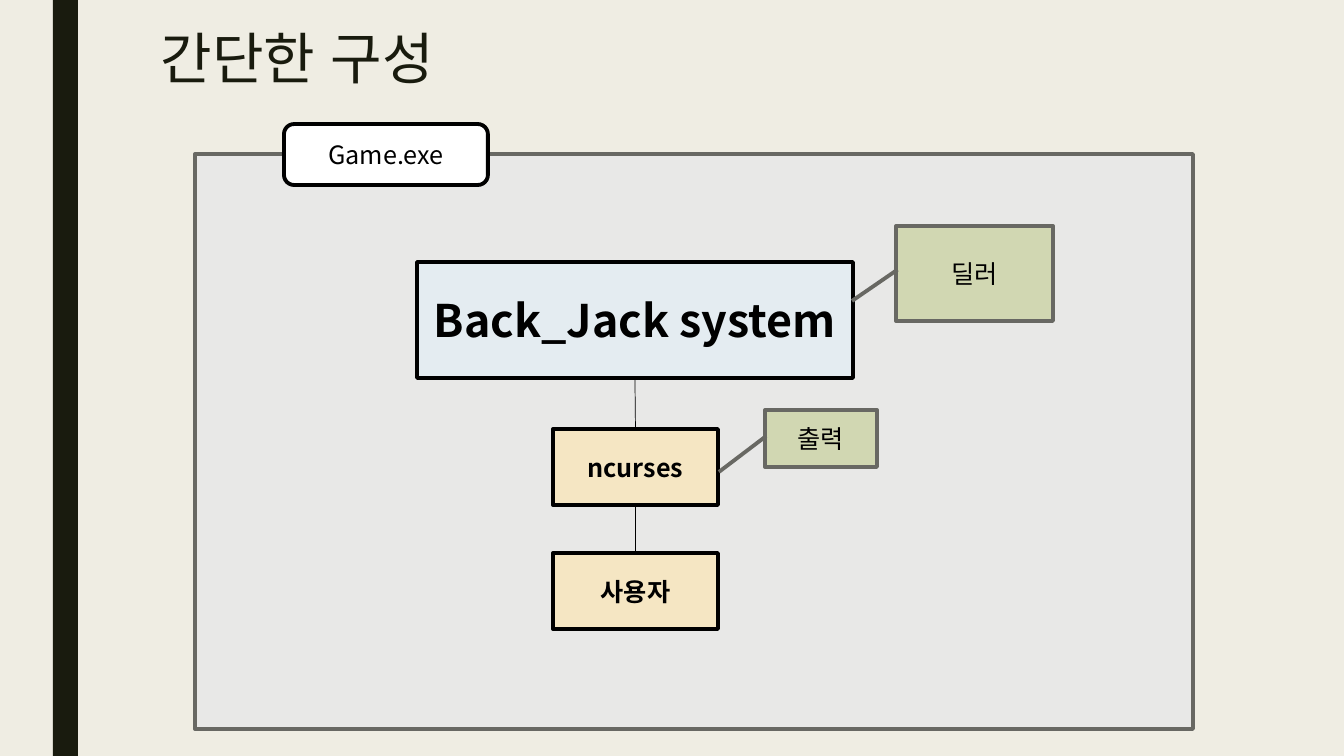
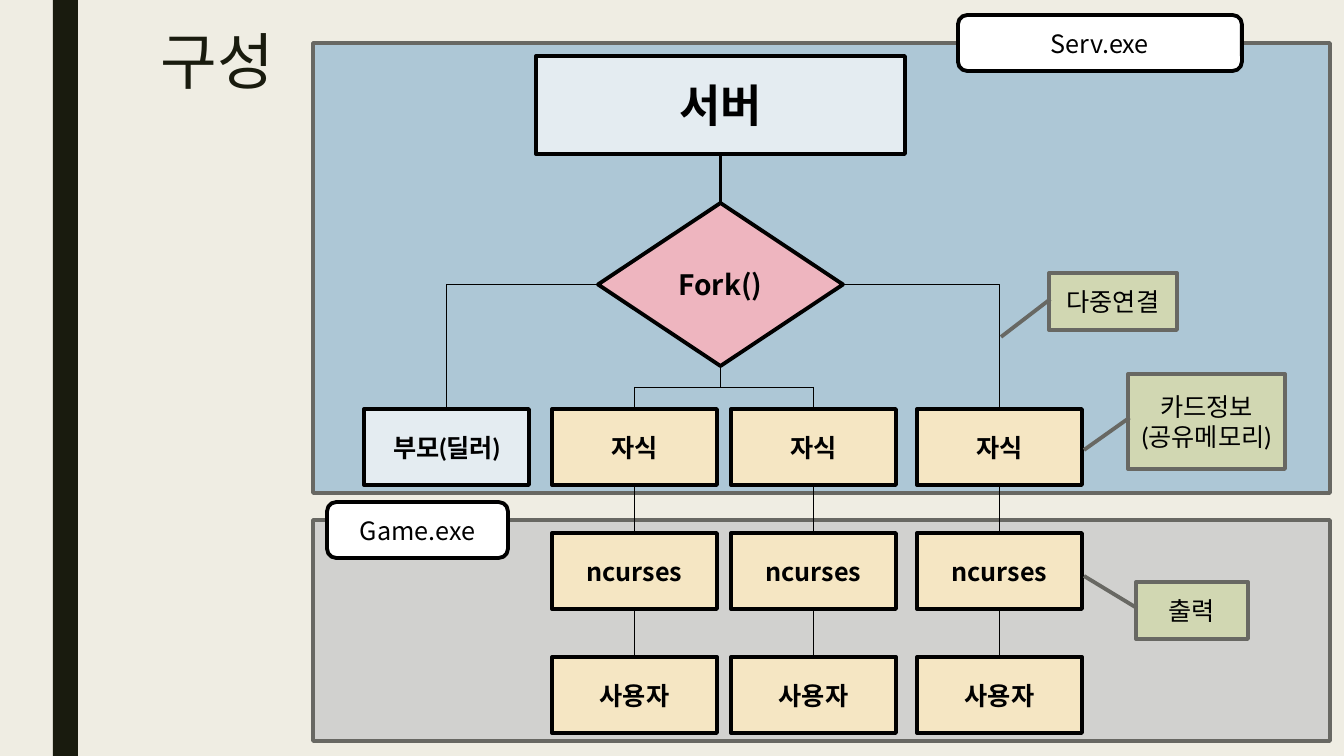
from collections import namedtuple

from lxml.etree import SubElement
from pptx import Presentation
from pptx.dml.color import RGBColor
from pptx.enum.lang import MSO_LANGUAGE_ID
from pptx.enum.shapes import MSO_CONNECTOR, MSO_SHAPE
from pptx.enum.text import MSO_ANCHOR, PP_ALIGN
from pptx.oxml.ns import qn
from pptx.util import Emu, Pt

EMU_PER_PX = 914400 / 100.8
SLIDE_WIDTH, SLIDE_HEIGHT = 1344, 756
NODE_WIDTH, NODE_HEIGHT, NODE_PITCH = 165, 76, 124
THICK, THIN = 2.75, 0.5
TOP, LEFT, BOTTOM, RIGHT = range(4)
SANS, LATO, ARIAL = "Noto Sans CJK KR", "Lato", "Arial"

COLOURS = {
    "background": "EFEDE3",
    "bar": "191B0E",
    "black": "000000",
    "white": "FFFFFF",
    "grey": "686863",
    "simple_panel": "E8E8E7",
    "game_panel": "D1D1CF",
    "server_panel": "ADC7D6",
    "system": "E4ECF1",
    "node": "F5E6C3",
    "fork": "EEB5BF",
    "callout": "D1D7B2",
}

Box = namedtuple("Box", "left top width height")


def px(length):
    return Emu(round(length * EMU_PER_PX))


def colour(name):
    return RGBColor.from_string(COLOURS[name])


def within(box, left, top, width, height):
    """Turn a place inside a region into a place on the slide."""
    return Box(box.left + left, box.top + top, width, height)


# Shared drawing tools
def format_text(text_frame, font_name, size, bold=False, text_colour="black"):
    for paragraph in text_frame.paragraphs:
        for run in paragraph.runs:
            font = run.font
            font.name, font.size, font.bold = font_name, Pt(size), bold
            font.language_id = MSO_LANGUAGE_ID.KOREAN
            font.color.rgb = colour(text_colour)
            latin = run._r.rPr.find(qn("a:latin"))
            east_asian = SubElement(run._r.rPr, qn("a:ea"))
            east_asian.set("typeface", font_name)
            latin.addnext(east_asian)


def add_box(slide, box, fill, line="black", preset=MSO_SHAPE.RECTANGLE,
            text="", font_name=SANS, size=18, bold=False):
    shape = slide.shapes.add_shape(preset, *map(px, box))
    shape.shadow.inherit = False
    shape.fill.solid()
    shape.fill.fore_color.rgb = colour(fill)
    if line:
        shape.line.color.rgb = colour(line)
        shape.line.width = Pt(THICK)
    else:
        shape.line.fill.background()
    if text:
        text_frame = shape.text_frame
        text_frame.text = text
        text_frame.word_wrap = True
        text_frame.vertical_anchor = MSO_ANCHOR.MIDDLE
        for paragraph in text_frame.paragraphs:
            paragraph.alignment = PP_ALIGN.CENTER
        format_text(text_frame, font_name, size, bold)
    return shape


def add_node(slide, box, left, top, text, font_name=LATO, fill="node"):
    place = within(box, left, top, NODE_WIDTH, NODE_HEIGHT)
    return add_box(slide, place, fill, text=text, font_name=font_name, bold=True)


def add_tab(slide, box, text):
    add_box(slide, box, "white", preset=MSO_SHAPE.ROUNDED_RECTANGLE, text=text)


def add_callout(slide, box, text, reach_left, reach_down):
    """Callout whose tip is measured from its top left corner."""
    shape = add_box(slide, box, "callout", "grey", MSO_SHAPE.LINE_CALLOUT_1,
                    text, LATO)
    adjustments = (0.46, 0.01, reach_down / box.height, -reach_left / box.width)
    for index, value in enumerate(adjustments):
        shape.adjustments[index] = value


def add_line(slide, start=(0, 0), end=(0, 0), weight=THIN,
             kind=MSO_CONNECTOR.STRAIGHT):
    connector = slide.shapes.add_connector(kind, *map(px, (*start, *end)))
    connector.line.color.rgb = colour("black")
    connector.line.width = Pt(weight)
    SubElement(connector._element.spPr, qn("a:effectLst"))
    return connector


def link(slide, source, target, side=BOTTOM, weight=THIN):
    """Join a side of one shape to the top of another, with a corner if sideways."""
    straight = side == BOTTOM
    kind = MSO_CONNECTOR.STRAIGHT if straight else MSO_CONNECTOR.ELBOW
    connector = add_line(slide, weight=weight, kind=kind)
    connector.begin_connect(source, side)
    connector.end_connect(target, TOP)
    if not straight:
        geometry = connector._element.spPr.find(qn("a:prstGeom"))
        geometry.set("prst", "bentConnector2")


def add_player(slide, box, left, top, parent):
    """Column of screen library and user below a parent shape."""
    library = add_node(slide, box, left, top, "ncurses", SANS)
    user = add_node(slide, box, left, top + NODE_PITCH, "사용자", ARIAL)
    link(slide, parent, library)
    link(slide, library, user)


def add_slide(presentation):
    slide = presentation.slides.add_slide(presentation.slide_layouts[6])
    slide.background.fill.solid()
    slide.background.fill.fore_color.rgb = colour("background")
    add_box(slide, Box(53, 0, 25, SLIDE_HEIGHT), "bar", None)
    return slide


def add_title(slide, text, size):
    title = slide.shapes.add_textbox(*map(px, Box(151, 27, 1058, 163)))
    title.text_frame.text = text
    title.text_frame.word_wrap = True
    title.text_frame.paragraphs[0].line_spacing = 0.89
    format_text(title.text_frame, SANS, size, text_colour="bar")


# Regions
def draw_simple_game(slide, box):
    add_box(slide, box, "simple_panel", "grey")
    system = add_box(slide, within(box, 222, 108, 436, 116), "system",
                     text="Back_Jack system", size=32, bold=True)
    add_player(slide, box, 358, 275, system)
    add_callout(slide, within(box, 570, 256, 112, 57), "출력", 46, 62)
    add_callout(slide, within(box, 701, 72, 157, 95), "딜러", 44, 75)
    add_tab(slide, within(box, 89, -30, 204, 61), "Game.exe")


def draw_server(slide, box, child_lefts):
    """Draw the server process tree and return the child processes."""
    add_box(slide, box, "server_panel", "grey")
    server = add_box(slide, within(box, 223, 13, 369, 98), "system",
                     text="서버", size=32, bold=True)
    fork = add_box(slide, within(box, 285, 160, 245, 163), "fork",
                   preset=MSO_SHAPE.FLOWCHART_DECISION, text="Fork()",
                   size=20, bold=True)
    node_top = 366
    parent = add_node(slide, box, 51, node_top, "부모(딜러)", fill="system")
    children = [add_node(slide, box, left, node_top, "자식")
                for left in child_lefts]
    link(slide, server, fork, weight=THICK)
    link(slide, fork, parent, LEFT)
    link(slide, fork, children[-1], RIGHT)

    # Branch from the fork to the two middle children
    bus_y = box.top + 344
    centres = [box.left + left + NODE_WIDTH / 2 for left in child_lefts[:2]]
    fork_x = box.left + 407
    add_line(slide, (fork_x, box.top + 323), (fork_x, bus_y))
    add_line(slide, (centres[0], bus_y), (centres[1], bus_y))
    for centre in centres:
        add_line(slide, (centre, bus_y), (centre, box.top + node_top))

    add_callout(slide, within(box, 815, 331, 157, 95),
                "카드정보\n(공유메모리)", 44, 76)
    add_callout(slide, within(box, 736, 230, 128, 57), "다중연결", 48, 64)
    add_tab(slide, within(box, 645, -28, 284, 56), "Serv.exe")
    return children


def draw_game(slide, box, child_lefts, children):
    add_box(slide, box, "game_panel", "grey")
    for left, child in zip(child_lefts, children):
        add_player(slide, box, left, 13, child)
    add_callout(slide, within(box, 823, 62, 112, 57), "출력", 52, -6)
    add_tab(slide, within(box, 14, -18, 181, 56), "Game.exe")


# Slides
def build_simple_slide(presentation):
    slide = add_slide(presentation)
    add_title(slide, "간단한 구성", 40)
    draw_simple_game(slide, Box(195, 154, 998, 575))


def build_server_slide(presentation):
    slide = add_slide(presentation)
    add_title(slide, "구성", 44)
    child_lefts = (239, 418, 604)
    children = draw_server(slide, Box(313, 43, 1017, 450), child_lefts)
    draw_game(slide, Box(313, 520, 1017, 221), child_lefts, children)


def main():
    presentation = Presentation()
    presentation.slide_width = px(SLIDE_WIDTH)
    presentation.slide_height = px(SLIDE_HEIGHT)
    build_simple_slide(presentation)
    build_server_slide(presentation)
    presentation.save("out.pptx")


if __name__ == "__main__":
    main()
